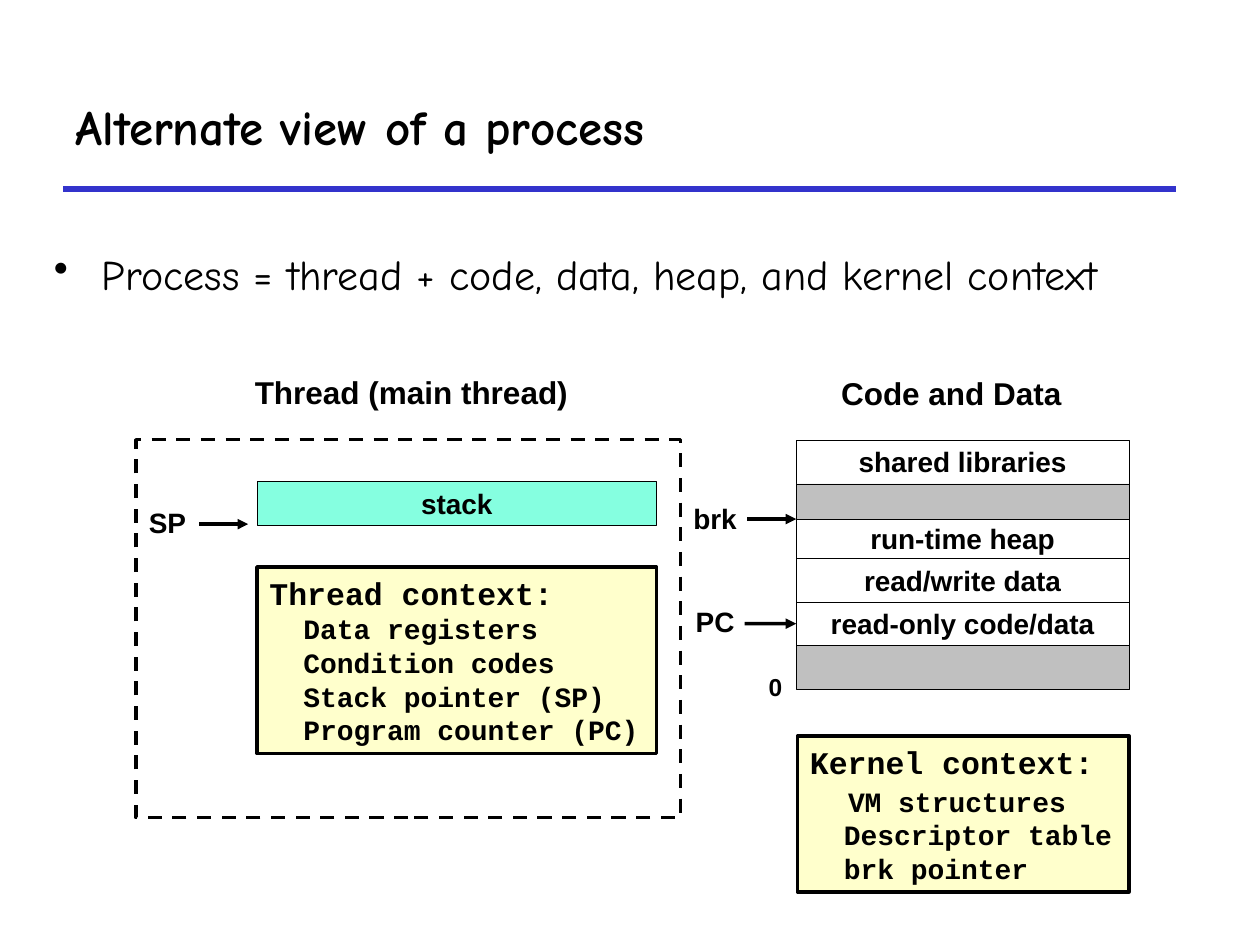
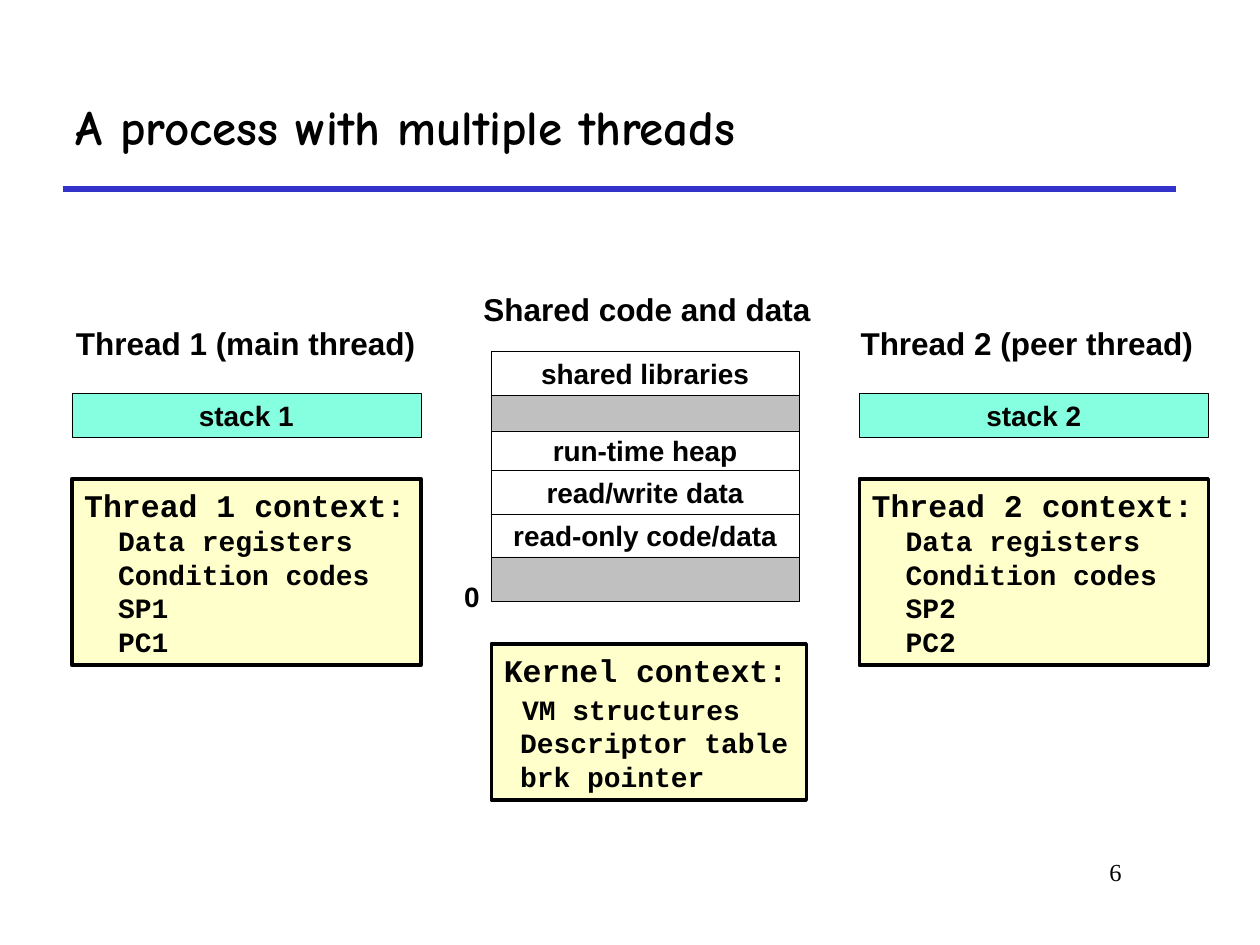
"""Build two slides comparing a single-threaded and a multi-threaded process."""
import pptx
import pptx.dml.color
import pptx.enum.dml
import pptx.enum.shapes
import pptx.enum.text
import pptx.oxml.ns
import pptx.util
from lxml import etree

Inches = pptx.util.Inches
Pt = pptx.util.Pt
ALIGN = pptx.enum.text.PP_ALIGN
ANCHOR = pptx.enum.text.MSO_ANCHOR

COLORS = {"text": "000000", "rule": "3333CC", "white": "FFFFFF", "gap": "C0C0C0",
          "stack": "85FFE0", "context": "FFFFCC"}
FONTS = {
    "title": {"name": "Comic Neue", "size": Pt(28), "bold": True},
    "body": {"name": "Comic Neue", "size": Pt(24), "bold": False},
    "heading": {"name": "Arial", "size": Pt(18), "bold": True},
    "label": {"name": "Arial", "size": Pt(16), "bold": True},
    "zero": {"name": "Arial", "size": Pt(14), "bold": True},
    "context": {"name": "Courier New", "size": Pt(18), "bold": True},
    "detail": {"name": "Courier New", "size": Pt(16), "bold": True},
    "number": {"name": "Times New Roman", "size": Pt(14), "bold": False},
}
MEMORY = [("shared libraries", 0.35), ("", 0.28), ("run-time heap", 0.31),
          ("read/write data", 0.35), ("read-only code/data", 0.34), ("", 0.35)]
REGISTERS = ["Data registers", "Condition codes"]
KERNEL = ["VM structures", "Descriptor table", "brk pointer"]
BAR_HEIGHT = 0.35

SINGLE = {
    "title": "Alternate view of a process",
    "bullet": "Process = thread + code, data, heap, and kernel context",
    "headings": [("Thread (main thread)", (1.92, 2.91, 2.69, 0.4)),
                 ("Code and Data", (6.54, 2.92, 2.02, 0.4))],
    "memory": (6.32, 3.49, 2.64),
    "threads": [("stack", "Thread context:", ["Stack pointer (SP)", "Program counter (PC)"],
                 (2.04, 3.82, 3.17))],
    "kernel": ((6.33, 5.84, 2.63, 1.24), 0.27),
    "labels": [("0", "zero", (6, 5.28, 0.31, 0.34)), ("SP", "label", (1.08, 3.96, 0.5, 0.37)),
               ("PC", "label", (5.42, 4.75, 0.51, 0.37)),
               ("brk", "label", (5.4, 3.93, 0.55, 0.37))],
    "arrows": [(1.58, 4.16), (5.93, 4.12)],
    "code_arrow": (5.91, 4.95),
    "frame": (1.08, 3.49, 4.32, 3),
}
MULTIPLE = {
    "title": "A process with multiple threads",
    "headings": [("Thread 1 (main thread)", (0.5, 2.52, 2.9, 0.4)),
                 ("Shared code and data", (3.7, 2.25, 2.87, 0.4)),
                 ("Thread 2 (peer thread)", (6.73, 2.52, 2.84, 0.4))],
    "memory": (3.9, 2.79, 2.44),
    "threads": [(f"stack {n}", f"Thread {n} context:", [f"SP{n}", f"PC{n}"], (left, 3.12, 2.77))
                for n, left in ((1, 0.57), (2, 6.82))],
    "kernel": ((3.9, 5.11, 2.5, 1.24), 0.13),
    "labels": [("0", "label", (3.58, 4.55, 0.33, 0.37))],
    "number": "6",
}


def rgb(name):
    return pptx.dml.color.RGBColor.from_string(COLORS[name])


def inches(box):
    return [Inches(value) for value in box]


def format_paragraph(paragraph, style, align=ALIGN.LEFT):
    paragraph.alignment = align
    for name, value in FONTS[style].items():
        setattr(paragraph.font, name, value)
    paragraph.font.color.rgb = rgb("text")


def write(shape, lines, align=ALIGN.LEFT, anchor=ANCHOR.MIDDLE, wrap=True):
    frame = shape.text_frame
    settings = {"word_wrap": wrap, "vertical_anchor": anchor,
                "auto_size": pptx.enum.text.MSO_AUTO_SIZE.NONE}
    for name, value in settings.items():
        setattr(frame, name, value)
    frame.text = "\n".join(text for text, style in lines)
    for paragraph, (text, style) in zip(frame.paragraphs, lines):
        format_paragraph(paragraph, style, align)


def add_text(slide, text, style, box, **layout):
    shape = slide.shapes.add_textbox(*inches(box))
    write(shape, [(text, style)], **layout)
    return shape


def add_box(slide, box, fill=None, weight=0.25):
    shape = slide.shapes.add_shape(pptx.enum.shapes.MSO_SHAPE.RECTANGLE, *inches(box))
    shape.shadow.inherit = False
    if fill:
        shape.fill.solid()
        shape.fill.fore_color.rgb = rgb(fill)
    else:
        shape.fill.background()
    shape.line.color.rgb = rgb("text")
    shape.line.width = Pt(weight)
    return shape


def add_bar(slide, text, box, fill):
    bar = add_box(slide, box, fill)
    if text:
        write(bar, [(text, "label")], align=ALIGN.CENTER, wrap=False)
    return bar


def add_line(slide, start, end, color="text", weight=2):
    line = slide.shapes.add_connector(pptx.enum.shapes.MSO_CONNECTOR.STRAIGHT,
                                      *inches(start + end))
    line.line.color.rgb = rgb(color)
    line.line.width = Pt(weight)
    etree.SubElement(line._element.spPr, pptx.oxml.ns.qn("a:effectLst"))
    return line


def add_arrow(slide, start):
    left, top = start
    arrow = add_line(slide, start, (left + 0.39, top))
    etree.SubElement(arrow.line._get_or_add_ln(), pptx.oxml.ns.qn("a:tailEnd"), type="triangle")
    return arrow


def add_context(slide, heading, details, box, indent=0.27):
    shape = add_box(slide, box, "context", 2)
    write(shape, [(heading, "context")] + [(detail, "detail") for detail in details])
    for paragraph in shape.text_frame.paragraphs[1:]:
        paragraph._p.get_or_add_pPr().set("marL", str(Inches(indent)))
    return shape


def add_bullet(slide, text):
    shape = add_text(slide, text, "body", (0.33, 1.92, 9.33, 1), anchor=ANCHOR.TOP)
    paragraph = shape.text_frame.paragraphs[0]
    properties = paragraph._p.get_or_add_pPr()
    properties.set("marL", str(Inches(0.38)))
    properties.set("indent", str(Inches(-0.38)))
    bullet = etree.Element(pptx.oxml.ns.qn("a:buChar"), char="•")
    properties.insert(0, bullet)


def add_memory(slide, left, top, width):
    regions = {}
    for text, height in MEMORY:
        fill = "white" if text else "gap"
        regions[text] = add_bar(slide, text, (left, top, width, height), fill)
        top += height
    return regions


def add_thread(slide, stack, heading, pointers, place):
    left, top, width = place
    add_bar(slide, stack, (left, top, width, BAR_HEIGHT), "stack")
    add_context(slide, heading, REGISTERS + pointers, (left, top + 0.68, width, 1.48))


def add_slide(presentation, content):
    slide = presentation.slides.add_slide(presentation.slide_layouts[5])
    title = slide.shapes.title
    title.left, title.top, title.width, title.height = inches((0.5, 0.5, 8.83, 1))
    write(title, [(content["title"], "title")])
    add_line(slide, (0.5, 1.5), (9.33, 1.5), "rule", 3)
    if "bullet" in content:
        add_bullet(slide, content["bullet"])
    for text, box in content["headings"]:
        add_text(slide, text, "heading", box, align=ALIGN.CENTER, wrap=False)
    regions = add_memory(slide, *content["memory"])
    for thread in content["threads"]:
        add_thread(slide, *thread)
    box, indent = content["kernel"]
    kernel = add_context(slide, "Kernel context:", KERNEL, box, indent)
    first_detail = kernel.text_frame.paragraphs[1]
    first_detail.space_before = Pt(2)
    first_detail._p.get_or_add_pPr().set("marL", str(Inches(indent * 1.12)))
    for text, style, box in content["labels"]:
        add_text(slide, text, style, box, align=ALIGN.CENTER, wrap=False)
    for start in content.get("arrows", []):
        add_arrow(slide, start)
    if "code_arrow" in content:
        arrow = add_arrow(slide, content["code_arrow"])
        arrow.end_connect(regions["read-only code/data"], 1)
    if "frame" in content:
        frame = add_box(slide, content["frame"], weight=2)
        frame.line.dash_style = pptx.enum.dml.MSO_LINE.DASH
    if "number" in content:
        add_text(slide, content["number"], "number", (7.58, 6.75, 1.42, 0.5),
                 align=ALIGN.RIGHT, anchor=ANCHOR.TOP)


def main():
    presentation = pptx.Presentation()
    presentation.slide_width, presentation.slide_height = Inches(10), Inches(7.5)
    for content in (SINGLE, MULTIPLE):
        add_slide(presentation, content)
    presentation.save("out.pptx")


if __name__ == "__main__":
    main()
